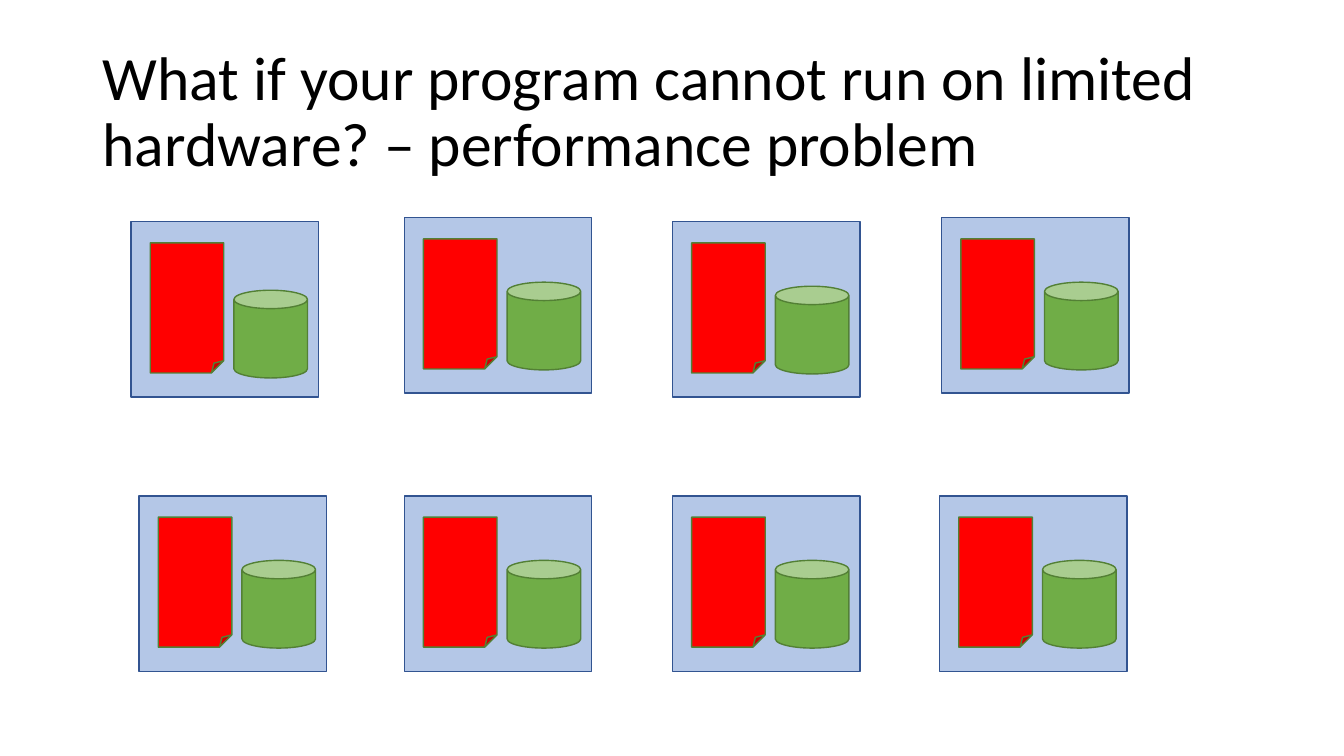
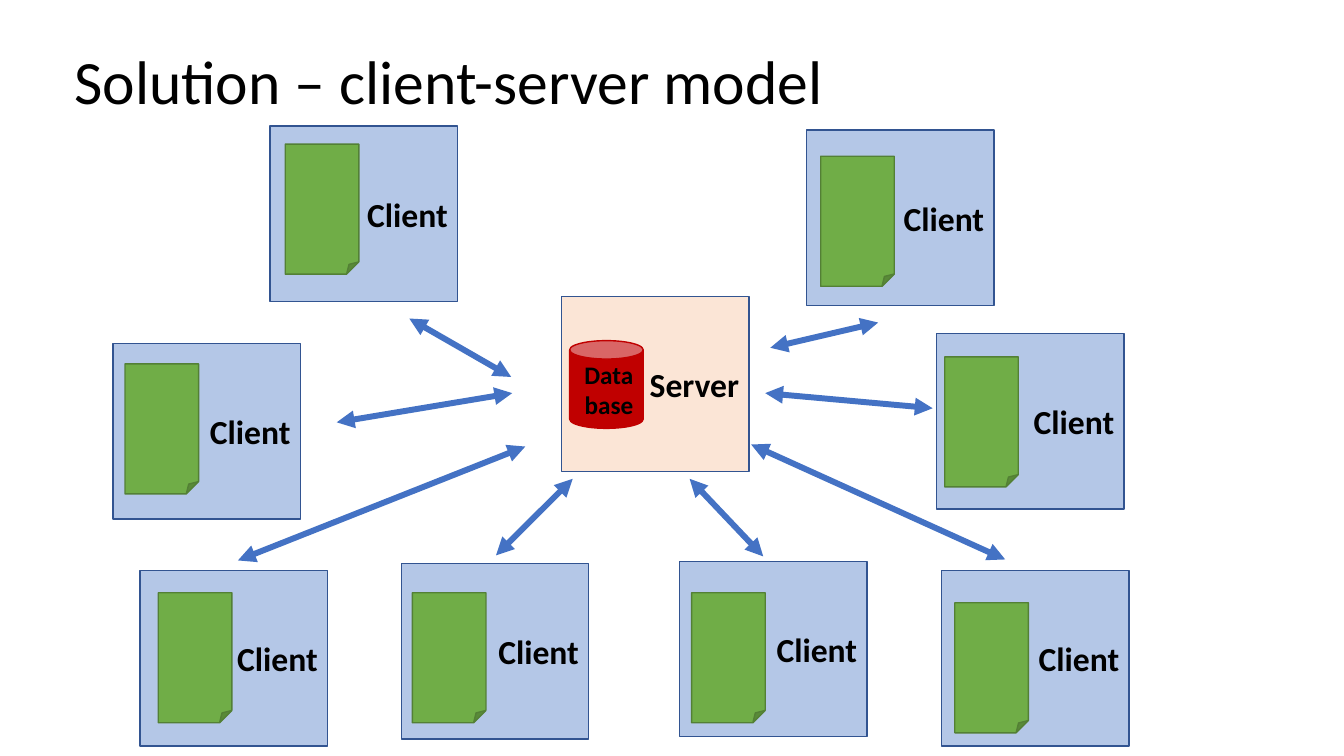
from dataclasses import dataclass

from lxml import etree
from pptx import Presentation
from pptx.dml.color import RGBColor
from pptx.enum.shapes import MSO_CONNECTOR, MSO_SHAPE
from pptx.enum.text import MSO_ANCHOR, PP_ALIGN
from pptx.oxml.ns import qn
from pptx.util import Inches, Pt

RECTANGLE = MSO_SHAPE.RECTANGLE
CAN = MSO_SHAPE.CAN
FOLDED_CORNER = MSO_SHAPE.FOLDED_CORNER
STRAIGHT = MSO_CONNECTOR.STRAIGHT
MIDDLE = MSO_ANCHOR.MIDDLE
LEFT, RIGHT = PP_ALIGN.LEFT, PP_ALIGN.RIGHT
BLANK_LAYOUT = 6


@dataclass(frozen=True)
class Theme:
    font: str = "Calibri"
    text: str = "000000"
    machine: str = "B4C7E7"
    machine_line: str = "325491"
    server: str = "FBE5D6"
    green: str = "70AD47"
    green_line: str = "538035"
    heavy: str = "FF0000"
    database: str = "C00000"
    arrow: str = "4472C4"
    title_size: float = 44
    label_size: float = 24
    small_size: float = 18
    outline: float = 1
    arrow_width: float = 4.25


MACHINE_SIZE = (1.86, 1.74)
PROGRAM_SIZE = (0.73, 1.29)
STORE_SIZE = (0.73, 0.87)


class Sketch:
    """Holds the theme, the deck and the slide being drawn."""

    def __init__(self, theme):
        self.theme = theme
        self.deck = Presentation()
        self.deck.slide_width = Inches(13.33)
        self.deck.slide_height = Inches(7.5)
        self.page = None

    def new_page(self, title, left, top, width, height):
        self.page = self.deck.slides.add_slide(self.deck.slide_layouts[BLANK_LAYOUT])
        box = self.page.shapes.add_textbox(
            Inches(left), Inches(top), Inches(width), Inches(height))
        self.add_text(box, [title], self.theme.title_size, LEFT)
        box.text_frame.paragraphs[0].line_spacing = 0.9

    def add_text(self, box, lines, size, align, bold=False):
        frame = box.text_frame
        frame.word_wrap = True
        frame.vertical_anchor = MIDDLE
        for index, line in enumerate(lines):
            para = frame.add_paragraph() if index else frame.paragraphs[0]
            para.alignment = align
            span = para.add_run()
            span.text = line
            span.font.name = self.theme.font
            span.font.size = Pt(size)
            span.font.bold = bold
            span.font.color.rgb = RGBColor.from_string(self.theme.text)

    def shape(self, kind, left, top, size, fill, line):
        width, height = size
        shape = self.page.shapes.add_shape(
            kind, Inches(left), Inches(top), Inches(width), Inches(height))
        shape.shadow.inherit = False
        shape.fill.solid()
        shape.fill.fore_color.rgb = RGBColor.from_string(fill)
        shape.line.color.rgb = RGBColor.from_string(line)
        shape.line.width = Pt(self.theme.outline)
        return shape

    def machine(self, left, top, label=None, fill=None):
        box = self.shape(RECTANGLE, left, top, MACHINE_SIZE,
                         fill or self.theme.machine, self.theme.machine_line)
        if label:
            self.add_text(box, [label], self.theme.label_size, RIGHT, bold=True)

    def program(self, left, top, fill):
        self.shape(FOLDED_CORNER, left, top, PROGRAM_SIZE, fill, self.theme.green_line)

    def store(self, left, top, fill, line, lines=()):
        can = self.shape(CAN, left, top, STORE_SIZE, fill, line)
        self.add_text(can, lines, self.theme.small_size, RIGHT, bold=True)

    def full_machine(self, left, top, store_drop):
        """A machine that holds both the whole program and its data."""
        theme = self.theme
        self.machine(left, top)
        self.store(left + 1.02, top + store_drop, theme.green, theme.green_line)
        self.program(left + 0.19, top + 0.21, theme.heavy)

    def client(self, left, top, inset, drop):
        self.machine(left, top, "Client")
        self.program(left + inset, top + drop, self.theme.green)

    def double_arrow(self, start, end):
        arrow = self.page.shapes.add_connector(
            STRAIGHT, *(Inches(value) for value in (*start, *end)))
        arrow.line.color.rgb = RGBColor.from_string(self.theme.arrow)
        arrow.line.width = Pt(self.theme.arrow_width)
        properties = arrow.element.spPr
        outline = properties.find(qn("a:ln"))
        for end_name in ("a:headEnd", "a:tailEnd"):
            etree.SubElement(outline, qn(end_name), type="triangle")
        etree.SubElement(properties, qn("a:effectLst"))


def draw_problem(sketch):
    sketch.new_page("What if your program cannot run on limited hardware? "
                    "– performance problem", 0.92, 0.4, 11.5, 1.45)
    machines = [
        (1.3, 2.2, 0.68), (4.01, 2.16, 0.64), (6.67, 2.2, 0.64), (9.34, 2.16, 0.64),
    ] + [(left, 4.92, 0.64) for left in (1.38, 4.01, 6.67, 9.32)]
    for machine in machines:
        sketch.full_machine(*machine)


def draw_solution(sketch):
    theme = sketch.theme
    sketch.new_page("Solution – client-server model", 0.64, 0.11, 8.85, 1.45)
    sketch.machine(5.57, 2.94, "Server", theme.server)
    sketch.store(5.65, 3.38, theme.database, theme.database, ["Data", "base"])

    # left, top, then the program's offset inside the client
    clients = [
        (2.68, 1.25, 0.15, 0.18), (8, 1.29, 0.14, 0.26),
        (1.12, 3.41, 0.12, 0.2), (9.29, 3.31, 0.08, 0.23),
        (1.39, 5.66, 0.18, 0.22), (3.98, 5.59, 0.11, 0.29),
        (6.74, 5.57, 0.12, 0.31), (9.34, 5.66, 0.13, 0.32),
    ]
    for client in clients:
        sketch.client(*client)

    # client end, server end
    links = [
        ((4.06, 3.16), (5.07, 3.74)), ((8.71, 3.2), (7.64, 3.45)),
        ((3.34, 4.19), (5.08, 3.9)), ((9.25, 4.05), (7.59, 3.9)),
        ((2.36, 5.56), (5.21, 4.43)), ((4.92, 5.51), (5.68, 4.75)),
        ((7.57, 5.52), (6.84, 4.75)), ((9.97, 5.55), (7.45, 4.41)),
    ]
    for client_end, server_end in links:
        sketch.double_arrow(client_end, server_end)


def main():
    sketch = Sketch(Theme())
    draw_problem(sketch)
    draw_solution(sketch)
    sketch.deck.save("out.pptx")


if __name__ == "__main__":
    main()
